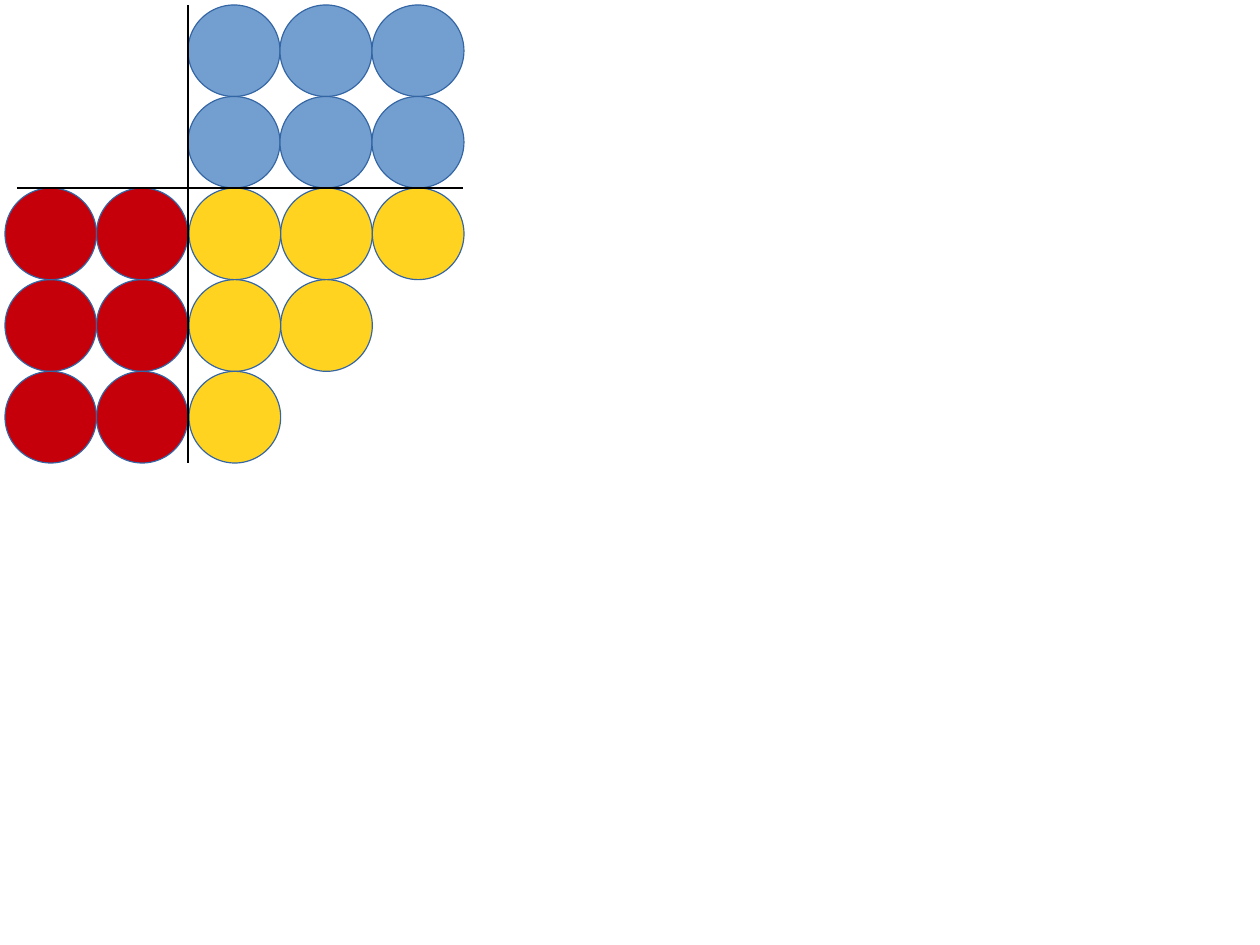
from lxml import etree
from pptx import Presentation
from pptx import util as u
from pptx.dml.color import RGBColor
from pptx.enum import shapes
from pptx.oxml.ns import qn

PIXEL = u.Inches(1) / 114.3
SLIDE_SIZE = (1260, 945)
BLUE = RGBColor(0x72, 0x9F, 0xCF)
RED = RGBColor(0xC5, 0x00, 0x0B)
YELLOW = RGBColor(0xFF, 0xD3, 0x20)
OUTLINE = RGBColor(0x34, 0x65, 0xA4)
BLACK = RGBColor(0x00, 0x00, 0x00)
LINE_WIDTH = u.Pt(0.75)


def emu(pixels):
    """Turn pixels into EMU."""
    return u.Emu(round(pixels * PIXEL))


def add_counters(slide, box, row_lengths, color):
    """Fill a box with rows of touching circles, aligned to its left edge."""
    left, top, width, height = box
    cell_width = width / max(row_lengths)
    cell_height = height / len(row_lengths)
    for row, length in enumerate(row_lengths):
        for column in range(length):
            circle = slide.shapes.add_shape(
                shapes.MSO_SHAPE.OVAL,
                emu(left + column * cell_width), emu(top + row * cell_height),
                emu(cell_width), emu(cell_height))
            circle.shadow.inherit = False
            circle.fill.solid()
            circle.fill.fore_color.rgb = color
            circle.line.color.rgb = OUTLINE
            circle.line.width = LINE_WIDTH


def add_axes(slide, box, origin):
    """Draw a vertical and a horizontal line across a box, crossing at origin."""
    left, top, width, height = box
    x, y = origin
    for ends in ((x, top, x, top + height), (left, y, left + width, y)):
        axis = slide.shapes.add_connector(
            shapes.MSO_CONNECTOR.STRAIGHT, *map(emu, ends))
        axis.line.color.rgb = BLACK
        axis.line.width = LINE_WIDTH
        etree.SubElement(axis._element.spPr, qn("a:effectLst"))


def main():
    """Build the slide with three groups of counters around two axes."""
    presentation = Presentation()
    presentation.slide_width, presentation.slide_height = map(emu, SLIDE_SIZE)
    blank_layout = presentation.slide_layouts[6]
    slide = presentation.slides.add_slide(blank_layout)
    add_counters(slide, (188, 5, 276, 183), (3, 3), BLUE)
    add_counters(slide, (5, 188, 183, 275), (2, 2, 2), RED)
    add_counters(slide, (189, 188, 275, 275), (3, 2, 1), YELLOW)
    add_axes(slide, (17, 5, 446, 458), origin=(188, 188))
    presentation.save("out.pptx")


main()
